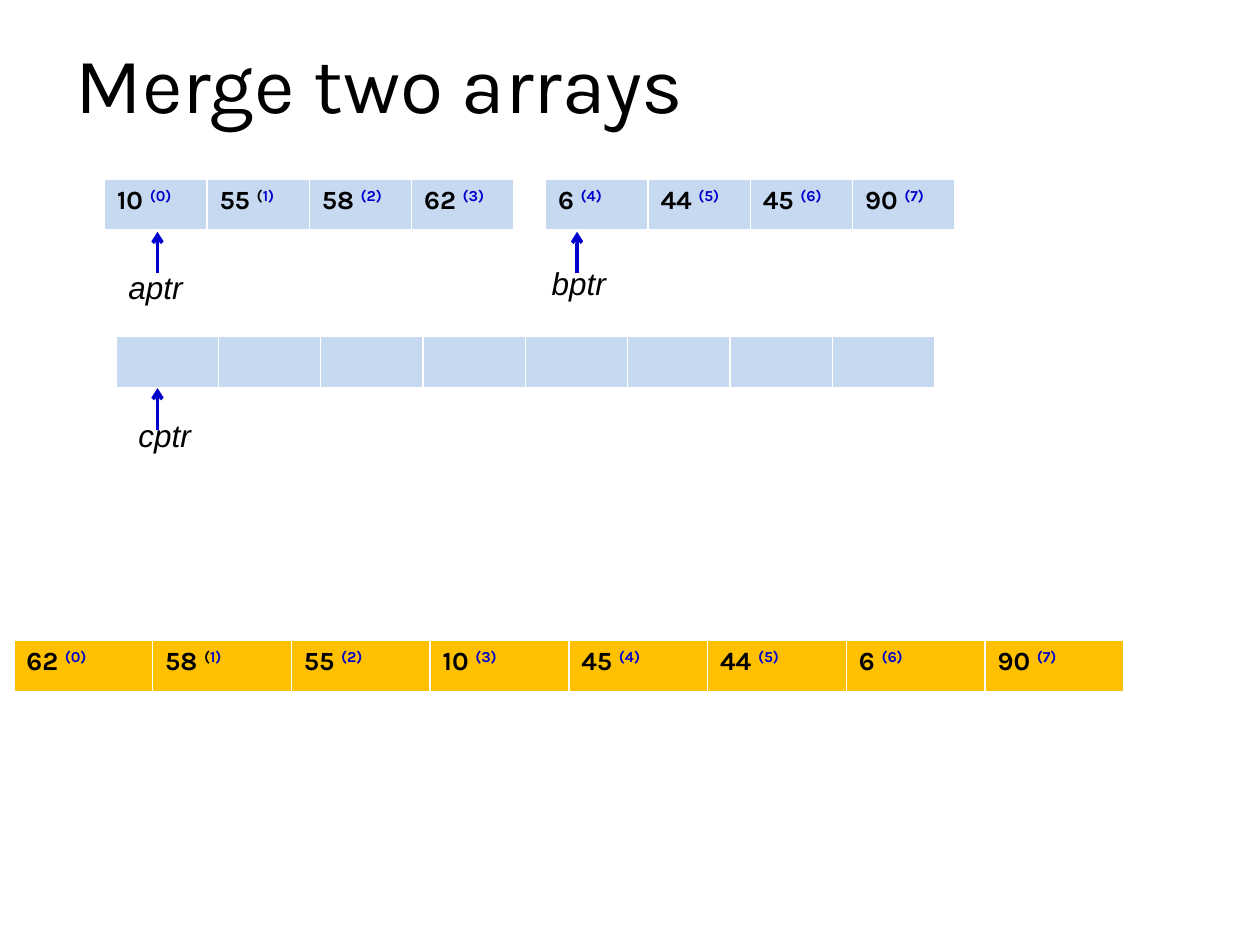
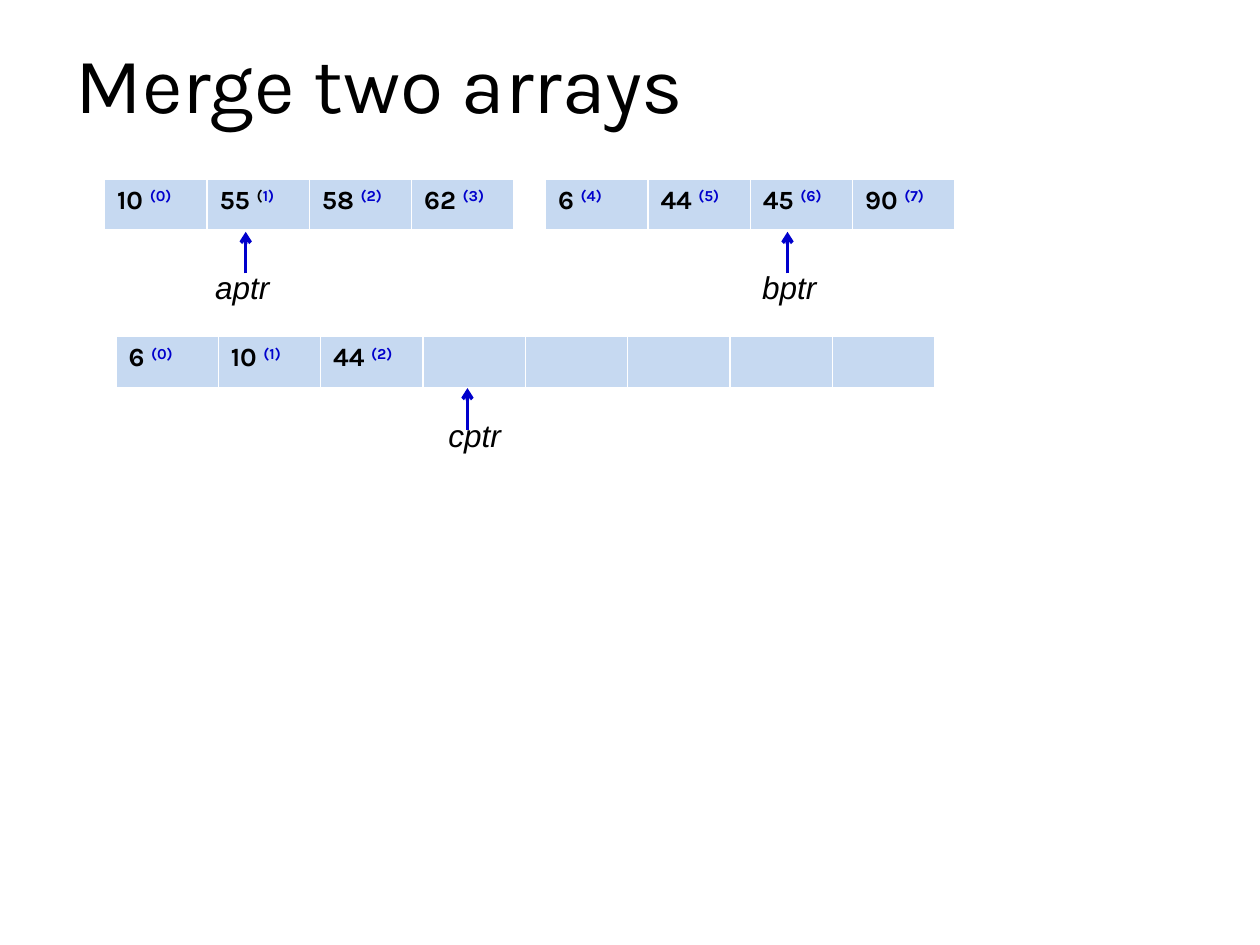
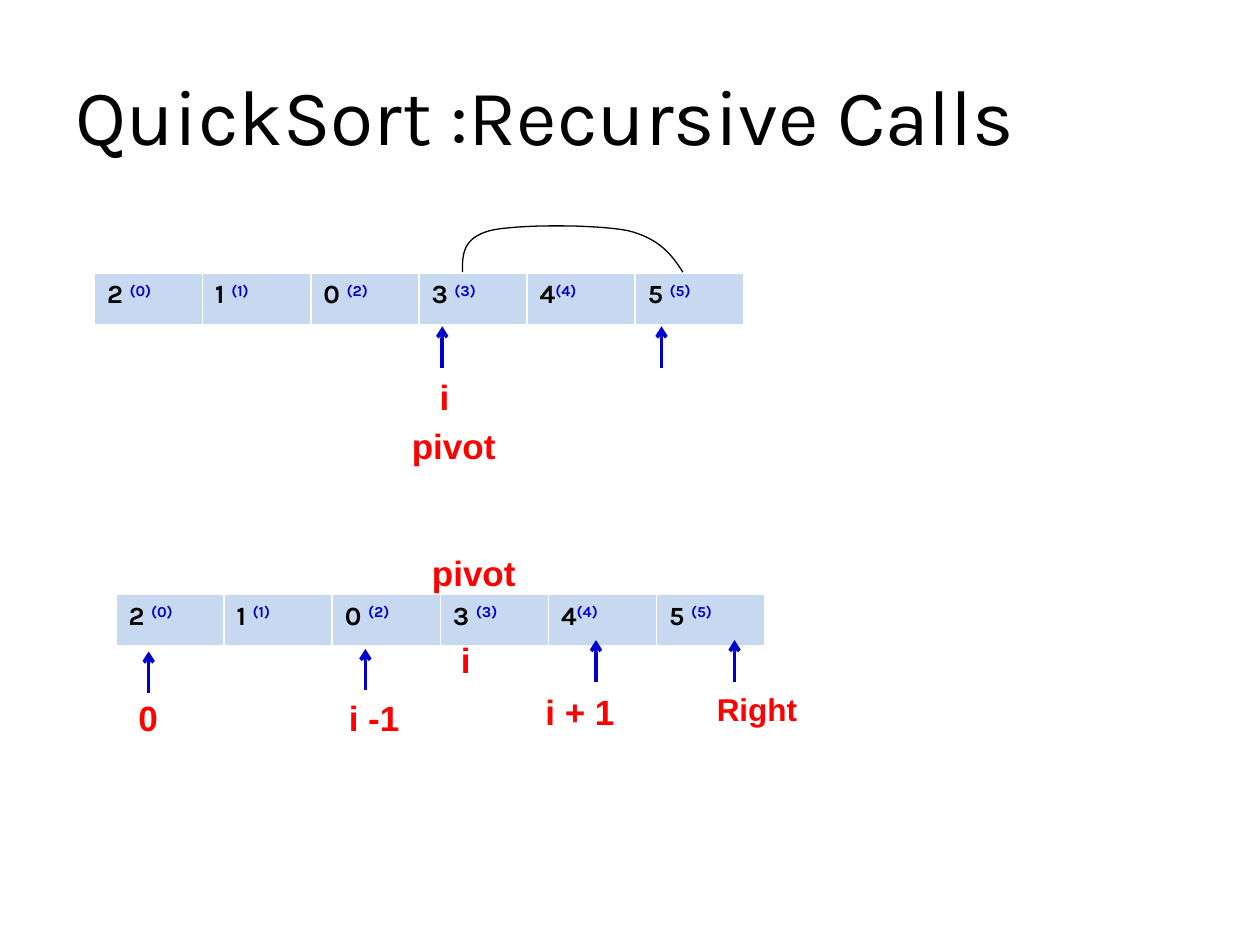
"""Build three slides on merging arrays and on the recursive calls of quicksort."""
from lxml.etree import SubElement
from pptx import Presentation
from pptx.dml.color import RGBColor
from pptx.enum.shapes import MSO_CONNECTOR
from pptx.enum.text import MSO_ANCHOR, MSO_AUTO_SIZE, PP_ALIGN
from pptx.oxml.ns import qn
from pptx.util import Inches, Pt

COLORS = {"text": "000000", "pointer": "0000CC", "label": "FF0000",
          "array": "C6D9F1", "unsorted": "FFC000", "border": "FFFFFF"}
TITLE_FONT, LABEL_FONT = "Karla", "Arial"
ROW_HEIGHT, ARROW_LENGTH = 0.42, 0.33
BORDERS = {"a:lnL": 1, "a:lnR": 1, "a:lnT": 1, "a:lnB": 3}
POINTER_STYLE = {"size": 18, "color": "text", "italic": True}
INDEX_STYLE = {"size": 20, "color": "label", "bold": True}
RIGHT_STYLE = {**INDEX_STYLE, "size": 18}
LABEL_WIDTHS = {"aptr": 0.64, "bptr": 0.64, "cptr": 0.62, "i": 0.28, "0": 0.36,
                "i -1": 0.6, "i + 1": 0.75, "Right": 0.91, "pivot": 0.9}

FIRST_HALF = ["10 (0)", "55 (1)", "58 (2)", "62 (3)"]
SECOND_HALF = ["6 (4)", "44 (5)", "45 (6)", "90 (7)"]
UNSORTED = ["62 (0)", "58 (1)", "55 (2)", "10 (3)", "45 (4)", "44 (5)", "6 (6)", "90 (7)"]
PARTITIONED = ["2 (0)", "1 (1)", "0 (2)", "3 (3)", "4(4)", "5 (5)"]
DARK_PARENTHESIS = {"55 (1)", "58 (1)"}
HALVES = [(FIRST_HALF, 0.83, 1.42, 3.25, "array"), (SECOND_HALF, 4.33, 1.42, 3.25, "array")]

SLIDES = [
    {"title": "Merge two arrays", "title_top": 0.17,
     "arrays": [([""] * 8, 0.92, 2.67, 6.5, "array"), *HALVES,
                (UNSORTED, 0.11, 5.08, 8.81, "unsorted")],
     "arrows": [(1.25, 1.84), (4.58, 1.84), (1.25, 3.08)],
     "labels": [("aptr", 0.92, 2.08, POINTER_STYLE), ("bptr", 4.28, 2.05, POINTER_STYLE),
                ("cptr", 1, 3.25, POINTER_STYLE)]},
    {"title": "Merge two arrays", "title_top": 0.17,
     "arrays": [(["6 (0)", "10 (1)", "44 (2)"] + [""] * 5, 0.92, 2.67, 6.5, "array"), *HALVES],
     "arrows": [(1.95, 1.84), (6.25, 1.84), (3.71, 3.08)],
     "labels": [("aptr", 1.61, 2.08, POINTER_STYLE), ("bptr", 5.95, 2.08, POINTER_STYLE),
                ("cptr", 3.46, 3.25, POINTER_STYLE)]},
    {"title": "QuickSort :Recursive Calls", "title_top": 0.42,
     "arrays": [(PARTITIONED, 0.92, 4.72, 5.15, "array"),
                (PARTITIONED, 0.75, 2.17, 5.15, "array")],
     "arrows": [(2.9, 5.15), (1.18, 5.17), (4.73, 5.08), (5.83, 5.08),
                (3.51, 2.59), (5.25, 2.59)],
     "labels": [("i -1", 2.67, 5.48, INDEX_STYLE), ("0", 1, 5.48, INDEX_STYLE),
                ("i + 1", 4.23, 5.43, INDEX_STYLE), ("Right", 5.59, 5.43, RIGHT_STYLE),
                ("i", 3.39, 2.93, INDEX_STYLE), ("pivot", 3.17, 3.32, INDEX_STYLE),
                ("pivot", 3.33, 4.33, INDEX_STYLE), ("i", 3.56, 5.02, INDEX_STYLE)],
     "swap": [[(5.42, 2.16), (5.33, 2.02), (5.23, 1.89), (4.98, 1.83)],
              [(4.98, 1.83), (4.72, 1.78), (4.1, 1.78), (3.89, 1.83)],
              [(3.89, 1.83), (3.67, 1.89), (3.67, 2.02), (3.67, 2.16)]]},
]


def rgb(name):
    return RGBColor.from_string(COLORS[name])


def set_font(font, name, size, color, bold=False, italic=False):
    font.name, font.size = name, Pt(size)
    font.bold, font.italic = bold, italic
    font.color.rgb = rgb(color)


def set_title(slide, text, top):
    title = slide.shapes.title
    title.left, title.top, title.width, title.height = map(Inches, (0.5, top, 7.92, 0.92))
    frame = title.text_frame
    frame.text = text
    frame.vertical_anchor = MSO_ANCHOR.BOTTOM
    frame.auto_size = MSO_AUTO_SIZE.NONE
    paragraph = frame.paragraphs[0]
    paragraph.alignment, paragraph.line_spacing = PP_ALIGN.LEFT, 0.9
    set_font(paragraph.font, TITLE_FONT, 45, "text")


def add_borders(cell):
    properties = cell._tc.get_or_add_tcPr()
    for side, width in BORDERS.items():
        line = SubElement(properties, qn(side), w=str(Pt(width)))
        SubElement(SubElement(line, qn("a:solidFill")), qn("a:srgbClr"), val=COLORS["border"])


def fill_cell(cell, text, fill):
    add_borders(cell)
    cell.fill.solid()
    cell.fill.fore_color.rgb = rgb(fill)
    paragraph = cell.text_frame.paragraphs[0]
    set_font(paragraph.font, TITLE_FONT, 15, "text", bold=True)
    value, parenthesis, index = text.partition("(")
    if text in DARK_PARENTHESIS:
        parts = [(value, "text", 0), (parenthesis, "text", 30), (index, "pointer", 30)]
    else:
        parts = [(value, "text", 0), (parenthesis + index, "pointer", 30)]
    for words, color, raised in parts:
        if words:
            run = paragraph.add_run()
            run.text = words
            set_font(run.font, TITLE_FONT, 15, color, bold=True)
            if raised:
                run._r.get_or_add_rPr().set("baseline", str(raised * 1000))


def add_array(slide, values, left, top, width, fill):
    box = map(Inches, (left, top, width, ROW_HEIGHT))
    table = slide.shapes.add_table(1, len(values), *box).table
    table.horz_banding = False
    for column, value in enumerate(values):
        table.columns[column].width = Inches(width / len(values))
        fill_cell(table.cell(0, column), value, fill)


def add_arrow(slide, x, tip):
    ends = map(Inches, (x, tip + ARROW_LENGTH, x, tip))
    arrow = slide.shapes.add_connector(MSO_CONNECTOR.STRAIGHT, *ends)
    arrow.line.color.rgb, arrow.line.width = rgb("pointer"), Pt(2)
    SubElement(arrow.line._get_or_add_ln(), qn("a:tailEnd"), type="arrow")
    SubElement(arrow._element.spPr, qn("a:effectLst"))


def add_label(slide, text, left, top, style):
    height = 0.4 if style["size"] == 18 else 0.43
    box = map(Inches, (left, top, LABEL_WIDTHS[text], height))
    frame = slide.shapes.add_textbox(*box).text_frame
    frame.word_wrap = False
    frame.auto_size = MSO_AUTO_SIZE.SHAPE_TO_FIT_TEXT
    frame.text = text
    set_font(frame.paragraphs[0].font, LABEL_FONT, **style)


def curve_point(points, share):
    rest = 1 - share
    weights = (rest ** 3, 3 * rest ** 2 * share, 3 * rest * share ** 2, share ** 3)
    return tuple(Inches(sum(weight * point[axis] for weight, point in zip(weights, points)))
                 for axis in (0, 1))


def add_swap_curve(slide, curves, steps=16):
    points = [curve_point(curve, step / steps)
              for curve in curves for step in range(1, steps + 1)]
    builder = slide.shapes.build_freeform(*curve_point(curves[0], 0))
    builder.add_line_segments(points, close=False)
    swap = builder.convert_to_shape()
    swap.shadow.inherit = False
    swap.fill.background()
    swap.line.color.rgb, swap.line.width = rgb("text"), Pt(0.75)


def main():
    presentation = Presentation()
    presentation.slide_width, presentation.slide_height = Inches(10), Inches(7.5)
    for content in SLIDES:
        slide = presentation.slides.add_slide(presentation.slide_layouts[5])
        set_title(slide, content["title"], content["title_top"])
        for array in content["arrays"]:
            add_array(slide, *array)
        for arrow in content["arrows"]:
            add_arrow(slide, *arrow)
        if "swap" in content:
            add_swap_curve(slide, content["swap"])
        for label in content["labels"]:
            add_label(slide, *label)
    presentation.save("out.pptx")


if __name__ == "__main__":
    main()
